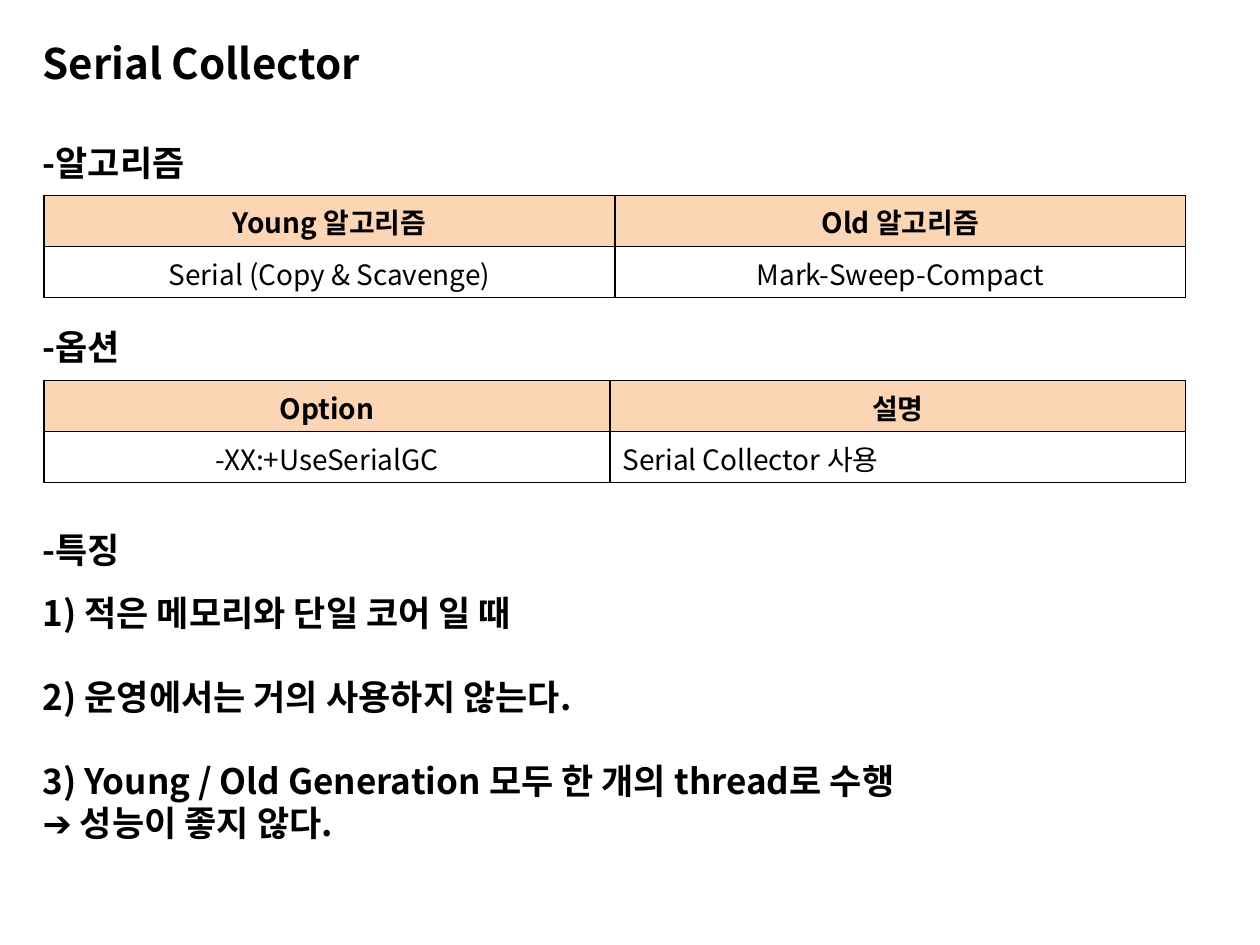
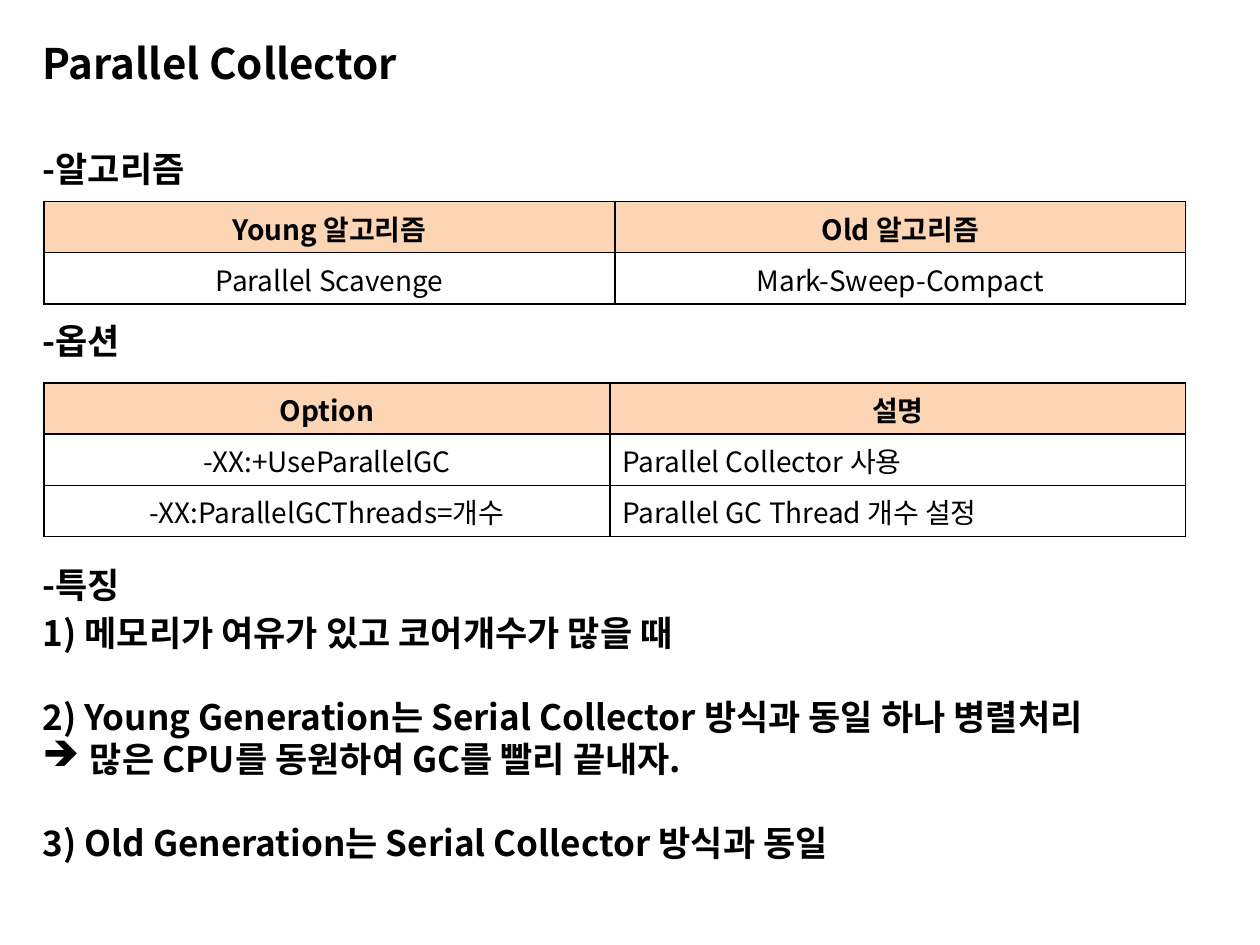
from lxml.etree import SubElement
from pptx import Presentation
from pptx.dml.color import RGBColor
from pptx.enum.text import MSO_ANCHOR as Anchor, PP_ALIGN as Align
from pptx.oxml import parse_xml
from pptx.oxml.ns import nsdecls, qn
from pptx.util import Pt

COLORS = {"text": "000000", "header": "FCD5B5", "cell": "FFFFFF", "border": "000000"}
FONT = "Noto Sans CJK KR"
TEXT_LEFT, TABLE_LEFT = 17.3, 25.2
ROW_HEIGHT = 29.2
LINE_HEIGHT = 24
HEADING_SIZE = (144.7, 37.4)
ARROW, ARROW_INDENT = "➔", 27
ALGORITHM_COLUMNS, OPTION_COLUMNS = (326.2, 326.2), (323.3, 329)
ALGORITHM_HEADER = ("Young 알고리즘", "Old 알고리즘")
OPTION_HEADER = ("Option", "설명")

# Each feature line: text, space before, whether the arrow is a bullet
collectors = [
    {
        "title": "Serial Collector",
        "headings": [("-알고리즘", 74.2), ("-옵션", 179.3), ("-특징", 295.2)],
        "tables": [
            (111.6, ALGORITHM_COLUMNS, (Align.CENTER, Align.CENTER),
             [ALGORITHM_HEADER, ("Serial (Copy & Scavenge)", "Mark-Sweep-Compact")]),
            (217.4, OPTION_COLUMNS, (Align.CENTER, Align.LEFT),
             [OPTION_HEADER, ("-XX:+UseSerialGC", "Serial Collector 사용")]),
        ],
        "features_box": (329, 162),
        "features": [
            ("1) 적은 메모리와 단일 코어 일 때", 0, False),
            ("2) 운영에서는 거의 사용하지 않는다.", LINE_HEIGHT, False),
            ("3) Young / Old Generation 모두 한 개의 thread로 수행", LINE_HEIGHT, False),
            (f"{ARROW} 성능이 좋지 않다.", 0, False),
        ],
    },
    {
        "title": "Parallel Collector",
        "headings": [("-알고리즘", 77.8), ("-옵션", 175.7), ("-특징", 315.4)],
        "tables": [
            (115.2, ALGORITHM_COLUMNS, (Align.CENTER, Align.CENTER),
             [ALGORITHM_HEADER, ("Parallel Scavenge", "Mark-Sweep-Compact")]),
            (218.9, OPTION_COLUMNS, (Align.CENTER, Align.LEFT),
             [OPTION_HEADER,
              ("-XX:+UseParallelGC", "Parallel Collector 사용"),
              ("-XX:ParallelGCThreads=개수", "Parallel GC Thread 개수 설정")]),
        ],
        "features_box": (311.8, 218.9),
        "features": [
            ("1) 메모리가 여유가 있고 코어개수가 많을 때", 0, False),
            ("2) Young Generation는 Serial Collector 방식과 동일 하나 병렬처리",
             LINE_HEIGHT, False),
            ("많은 CPU를 동원하여 GC를 빨리 끝내자.", 0, True),
            ("3) Old Generation는 Serial Collector 방식과 동일", LINE_HEIGHT, False),
        ],
    },
]


def add_run(paragraph, text, size, bold=True):
    run = paragraph.add_run()
    run.text = text
    for name, value in {"size": Pt(size), "bold": bold, "name": FONT}.items():
        setattr(run.font, name, value)
    run.font.color.rgb = RGBColor.from_string(COLORS["text"])
    SubElement(run.font._element, qn("a:ea"), typeface=FONT)


def add_text_frame(slide, top, width, height):
    """Add a wrapping, vertically centred text box at the left text edge."""
    box = slide.shapes.add_textbox(Pt(TEXT_LEFT), Pt(top), Pt(width), Pt(height))
    box.text_frame.word_wrap = True
    box.text_frame.vertical_anchor = Anchor.MIDDLE
    return box.text_frame


presentation = Presentation()
presentation.slide_width, presentation.slide_height = Pt(720), Pt(540)

for collector in collectors:
    slide = presentation.slides.add_slide(presentation.slide_layouts[6])
    title = add_text_frame(slide, 17.3, 263.5, 37.4)
    add_run(title.paragraphs[0], collector["title"], 24)

    for heading, top in collector["headings"]:
        frame = add_text_frame(slide, top, *HEADING_SIZE)
        add_run(frame.paragraphs[0], heading, 20)

    for top, widths, alignments, rows in collector["tables"]:
        table = slide.shapes.add_table(
            len(rows), len(widths), Pt(TABLE_LEFT), Pt(top),
            Pt(sum(widths)), Pt(ROW_HEIGHT * len(rows))).table
        table.first_row = table.horz_banding = False
        for column, width in zip(table.columns, widths):
            column.width = Pt(width)
        for row_index, texts in enumerate(rows):
            is_header = row_index == 0
            table.rows[row_index].height = Pt(ROW_HEIGHT)
            for column_index, text in enumerate(texts):
                cell = table.cell(row_index, column_index)
                paragraph = cell.text_frame.paragraphs[0]
                paragraph.alignment = Align.CENTER if is_header else alignments[column_index]
                add_run(paragraph, text, 16, bold=is_header)
                cell.fill.solid()
                cell.fill.fore_color.rgb = RGBColor.from_string(
                    COLORS["header" if is_header else "cell"])
                properties = cell._tc.get_or_add_tcPr()
                for position, side in enumerate(("lnL", "lnR", "lnT", "lnB")):
                    properties.insert(position, parse_xml(
                        f'<a:{side} {nsdecls("a")} w="{Pt(1)}"><a:solidFill>'
                        f'<a:srgbClr val="{COLORS["border"]}"/></a:solidFill></a:{side}>'))

    top, height = collector["features_box"]
    frame = add_text_frame(slide, top, 683.3, height)
    for index, (text, space_before, has_bullet) in enumerate(collector["features"]):
        paragraph = frame.add_paragraph() if index else frame.paragraphs[0]
        paragraph.line_spacing = Pt(LINE_HEIGHT)
        paragraph.space_before = Pt(space_before)
        add_run(paragraph, text, 20)
        if has_bullet:
            properties = paragraph._p.get_or_add_pPr()
            properties.set("marL", str(Pt(ARROW_INDENT)))
            properties.set("indent", str(-Pt(ARROW_INDENT)))
            SubElement(properties, qn("a:buChar"), char=ARROW)

presentation.save("out.pptx")
